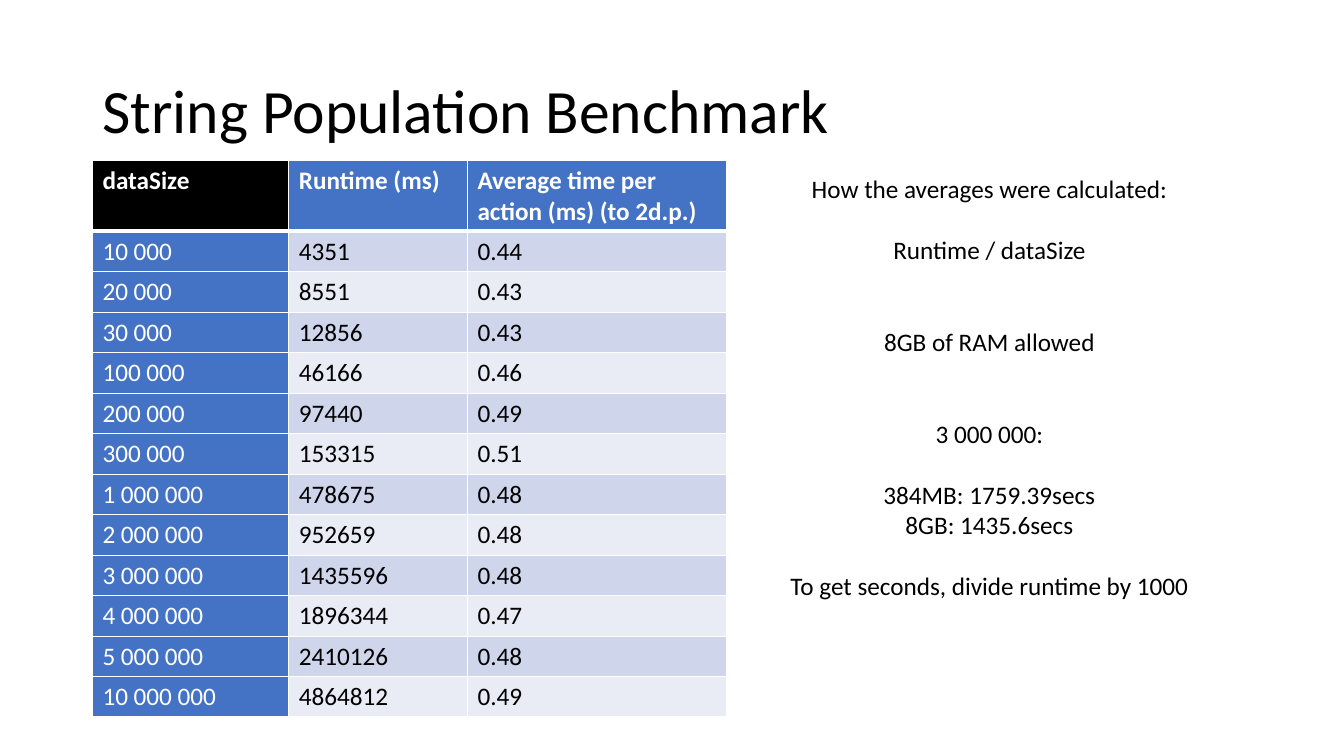
from dataclasses import dataclass

from lxml.etree import SubElement
from pptx import Presentation
from pptx.dml.color import RGBColor
from pptx.enum.text import MSO_ANCHOR, PP_ALIGN
from pptx.oxml.ns import qn
from pptx.util import Cm, Pt


@dataclass(frozen=True)
class Theme:
    font: str = "Calibri"
    title_size: int = 44
    body_size: int = 18
    line_height: int = 22
    black: str = "000000"
    white: str = "FFFFFF"
    blue: str = "4472C4"
    bands: tuple = ("CFD5EA", "E9EBF5")
    thin: int = 1
    thick: int = 3


THEME = Theme()

HEADERS = ("dataSize", "Runtime (ms)", "Average time per action (ms) (to 2d.p.)")
RESULTS = (
    ("10 000", "4351", "0.44"),
    ("20 000", "8551", "0.43"),
    ("30 000", "12856", "0.43"),
    ("100 000", "46166", "0.46"),
    ("200 000", "97440", "0.49"),
    ("300 000", "153315", "0.51"),
    ("1 000 000", "478675", "0.48"),
    ("2 000 000", "952659", "0.48"),
    ("3 000 000", "1435596", "0.48"),
    ("4 000 000", "1896344", "0.47"),
    ("5 000 000", "2410126", "0.48"),
    ("10 000 000", "4864812", "0.49"),
)
COLUMN_WIDTHS = (4.95, 4.5, 6.53)
HEADER_HEIGHT = 1.75
ROW_HEIGHT = 1.02

# Each note with the number of lines left free above it
NOTES = (
    ("How the averages were calculated:", 0),
    ("Runtime / dataSize", 1),
    ("8GB of RAM allowed", 2),
    ("3 000 000:", 2),
    ("384MB: 1759.39secs", 1),
    ("8GB: 1435.6secs", 0),
    ("To get seconds, divide runtime by 1000", 1),
)


def add_span(para, text, size, color, bold=False):
    span = para.add_run()
    span.text = text
    span.font.name = THEME.font
    span.font.size = Pt(size)
    span.font.bold = bold
    span.font.color.rgb = RGBColor.from_string(color)


def add_box(page, left, top, width, height, anchor):
    box = page.shapes.add_textbox(Cm(left), Cm(top), Cm(width), Cm(height))
    frame = box.text_frame
    frame.word_wrap = True
    frame.vertical_anchor = anchor
    return frame


def add_title(page, text):
    frame = add_box(page, 2.33, 1.01, 29.21, 3.68, MSO_ANCHOR.MIDDLE)
    para = frame.paragraphs[0]
    para.line_spacing = 0.9
    add_span(para, text, THEME.title_size, THEME.black)


def add_notes(page, notes):
    frame = add_box(page, 18.75, 4.24, 12.37, 11.02, MSO_ANCHOR.TOP)
    for index, (text, free_lines) in enumerate(notes):
        para = frame.add_paragraph() if index else frame.paragraphs[0]
        para.alignment = PP_ALIGN.CENTER
        para.space_before = Pt(free_lines * THEME.line_height)
        add_span(para, text, THEME.body_size, THEME.black)


def set_borders(cell, top, bottom):
    properties = cell._tc.get_or_add_tcPr()
    widths = {"L": THEME.thin, "R": THEME.thin, "T": top, "B": bottom}
    for side, width in widths.items():
        line = SubElement(properties, qn(f"a:ln{side}"), w=str(Pt(width)))
        fill = SubElement(line, qn("a:solidFill"))
        SubElement(fill, qn("a:srgbClr"), val=THEME.white)


def cell_colors(row, column):
    """Return the fill and text colours of a table cell."""
    if row == 0 and column == 0:
        return THEME.black, THEME.white
    if row == 0 or column == 0:
        return THEME.blue, THEME.white
    return THEME.bands[(row - 1) % 2], THEME.black


def fill_cell(cell, text, row, column):
    background, color = cell_colors(row, column)
    # Borders come before the fill in the cell properties
    set_borders(
        cell,
        top=THEME.thick if row == 1 else THEME.thin,
        bottom=THEME.thick if row == 0 else THEME.thin,
    )
    cell.fill.solid()
    cell.fill.fore_color.rgb = RGBColor.from_string(background)
    add_span(cell.text_frame.paragraphs[0], text, THEME.body_size, color, bold=row == 0)


def add_results_table(page, rows):
    heights = [HEADER_HEIGHT] + [ROW_HEIGHT] * (len(rows) - 1)
    table = page.shapes.add_table(
        len(rows), len(COLUMN_WIDTHS),
        Cm(2.33), Cm(4.05), Cm(sum(COLUMN_WIDTHS)), Cm(sum(heights)),
    ).table
    for column, width in zip(table.columns, COLUMN_WIDTHS):
        column.width = Cm(width)
    for row, height in zip(table.rows, heights):
        row.height = Cm(height)
    for row, values in enumerate(rows):
        for column, text in enumerate(values):
            fill_cell(table.cell(row, column), text, row, column)


def main():
    deck = Presentation()
    deck.slide_width, deck.slide_height = Cm(33.87), Cm(19.05)
    page = deck.slides.add_slide(deck.slide_layouts[6])

    add_title(page, "String Population Benchmark")
    add_results_table(page, (HEADERS, *RESULTS))
    add_notes(page, NOTES)

    deck.save("out.pptx")


if __name__ == "__main__":
    main()
